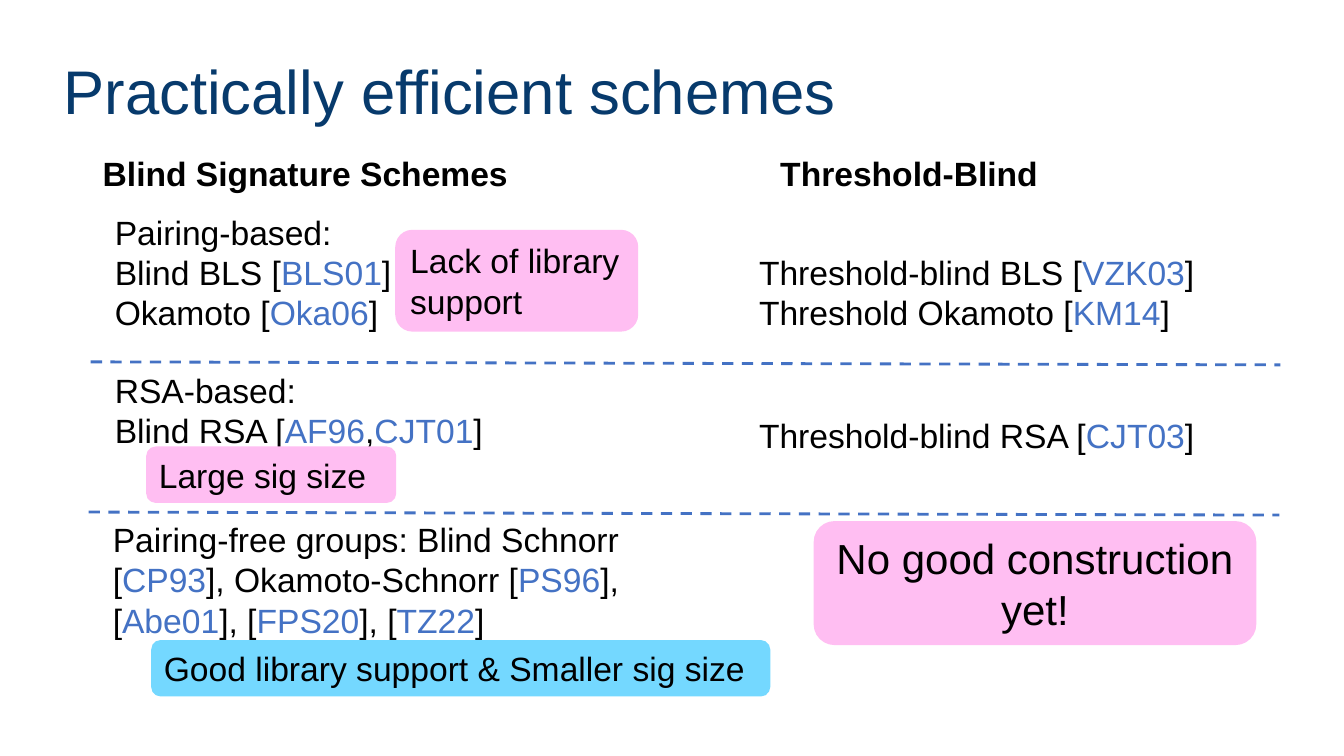
from lxml import etree
from pptx import Presentation
from pptx.dml.color import RGBColor
from pptx.enum.dml import MSO_LINE
from pptx.enum.shapes import MSO_CONNECTOR, MSO_SHAPE
from pptx.enum.text import MSO_ANCHOR, PP_ALIGN
from pptx.oxml.ns import qn
from pptx.util import Inches, Pt

DASH = MSO_LINE.DASH
STRAIGHT = MSO_CONNECTOR.STRAIGHT
ROUNDED = MSO_SHAPE.ROUNDED_RECTANGLE
MIDDLE, TOP = MSO_ANCHOR.MIDDLE, MSO_ANCHOR.TOP
LEFT, CENTER = PP_ALIGN.LEFT, PP_ALIGN.CENTER

COLORS = {"title": "073A6C", "text": "000000", "cite": "4472C4",
          "pink": "FFBEF2", "blue": "74D8FF"}
FONT = "Arial"
BODY_SIZE = 24
CITE_MARK = "*"

TITLE = "Practically efficient schemes"
HEADINGS = [
    ((0.92, 1.47, 4.71, 0.52), ["Blind Signature Schemes"]),
    ((7.64, 1.47, 2.99, 0.52), ["Threshold-Blind"]),
]
SCHEMES = [
    ((1.04, 2.05, 4.71, 1.31),
     ["Pairing-based:", "Blind BLS [*BLS01*]", "Okamoto [*Oka06*]"]),
    ((1.04, 3.62, 4.22, 0.94),
     ["RSA-based:", "Blind RSA [*AF96*,*CJT01*]"]),
    ((7.43, 2.45, 5.27, 0.91),
     ["Threshold-blind BLS [*VZK03*]", "Threshold Okamoto [*KM14*]"]),
    ((7.43, 4.07, 4.9, 0.52), ["Threshold-blind RSA [*CJT03*]"]),
    ((1.02, 5.1, 5.79, 1.31),
     ["Pairing-free groups: Blind Schnorr [*CP93*], Okamoto-Schnorr "
      "[*PS96*], [*Abe01*], [*FPS20*], [*TZ22*]"]),
]
CALLOUTS = [
    ((8.07, 5.17, 4.39, 1.23), "No good construction yet!", "pink", 30, CENTER),
    ((3.92, 2.28, 2.41, 1.01), "Lack of library support", "pink", BODY_SIZE, LEFT),
    ((1.45, 4.43, 2.48, 0.56), "Large sig size", "pink", BODY_SIZE, LEFT),
    ((1.5, 6.35, 6.14, 0.56), "Good library support & Smaller sig size",
     "blue", BODY_SIZE, LEFT),
]
DIVIDERS = [(0.88, 5.08, 12.69, 5.11), (0.9, 3.59, 12.7, 3.62)]


def rgb(name):
    return RGBColor.from_string(COLORS[name])


def style(r, size, color="text", bold=False):
    r.font.name = FONT
    r.font.size = Pt(size)
    r.font.bold = bold
    r.font.color.rgb = rgb(color)


def fill_text(tf, lines, size=BODY_SIZE, bold=False, align=LEFT, anchor=TOP):
    tf.word_wrap = True
    tf.vertical_anchor = anchor
    for i, line in enumerate(lines):
        p = tf.paragraphs[0] if i == 0 else tf.add_paragraph()
        p.alignment = align
        for j, part in enumerate(line.split(CITE_MARK)):
            r = p.add_run()
            r.text = part
            style(r, size, "cite" if j % 2 else "text", bold)


def add_text(s, box, lines, bold=False):
    sp = s.shapes.add_textbox(*map(Inches, box))
    fill_text(sp.text_frame, lines, bold=bold)


def add_callout(s, box, text, color, size, align):
    sp = s.shapes.add_shape(ROUNDED, *map(Inches, box))
    sp.adjustments[0] = 0.168
    sp.shadow.inherit = False
    sp.fill.solid()
    sp.fill.fore_color.rgb = rgb(color)
    sp.line.fill.background()
    fill_text(sp.text_frame, [text], size, align=align, anchor=MIDDLE)


def add_divider(s, ends):
    line = s.shapes.add_connector(STRAIGHT, *map(Inches, ends))
    line.line.color.rgb = rgb("cite")
    line.line.width = Pt(2)
    line.line.dash_style = DASH
    etree.SubElement(line._element.spPr, qn("a:effectLst"))


def add_title(s):
    sp = s.shapes.title
    sp.left, sp.top, sp.width, sp.height = map(Inches, (0.53, 0.4, 12.53, 1.07))
    tf = sp.text_frame
    tf.text = TITLE
    tf.vertical_anchor = MIDDLE
    p = tf.paragraphs[0]
    p.alignment = LEFT
    p.line_spacing = 0.9
    style(p.runs[0], 44, "title")


def main():
    prs = Presentation()
    prs.slide_width, prs.slide_height = Inches(13.33), Inches(7.5)
    s = prs.slides.add_slide(prs.slide_layouts[5])
    add_title(s)
    for box, lines in HEADINGS:
        add_text(s, box, lines, bold=True)
    for box, lines in SCHEMES:
        add_text(s, box, lines)
    for callout in CALLOUTS:
        add_callout(s, *callout)
    for ends in DIVIDERS:
        add_divider(s, ends)
    prs.save("out.pptx")


if __name__ == "__main__":
    main()
